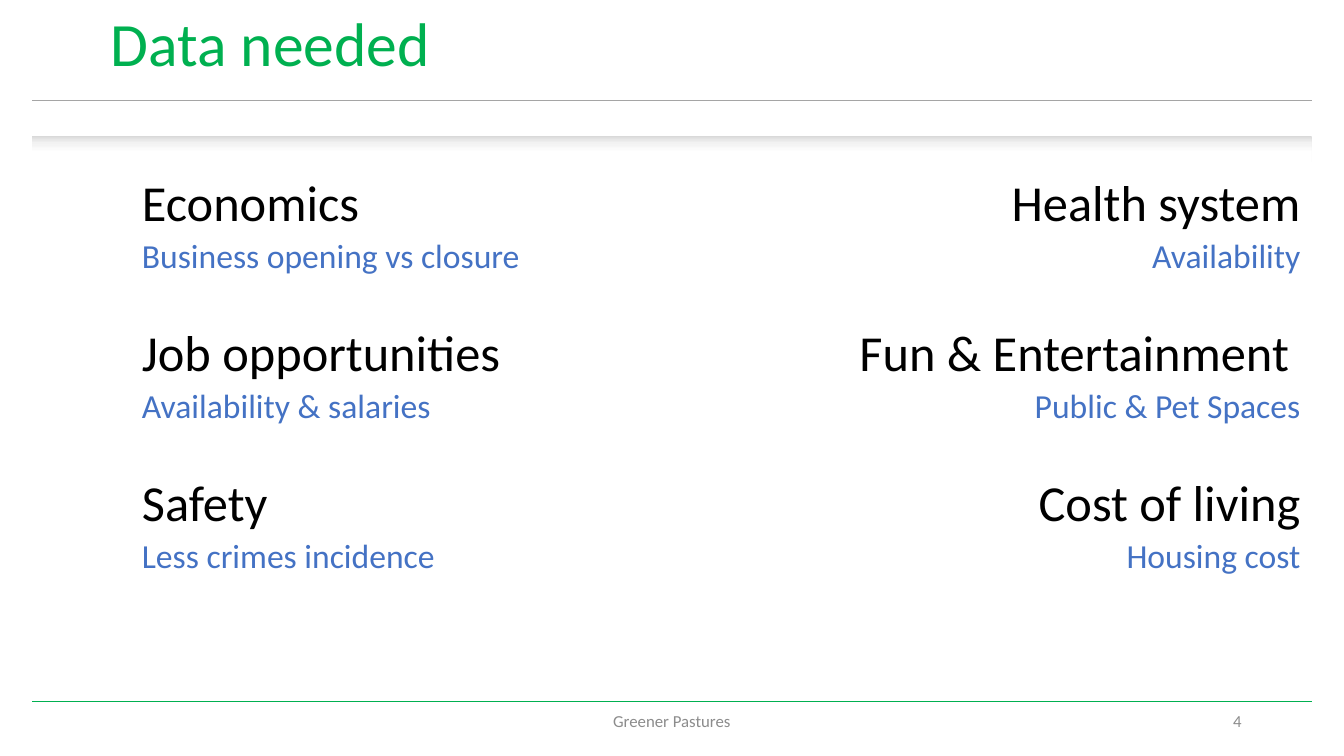
from copy import deepcopy

from lxml import etree
from pptx import Presentation
from pptx import util as u
from pptx.dml.color import RGBColor
from pptx.enum import shapes, text
from pptx.oxml import ns

COLORS = {
    "green": "00B050",
    "black": "000000",
    "blue": "4472C4",
    "footer": "8C8C8C",
    "rule": "A5A5A5",
}
BAND_STOPS = [(0, "D9D9D9"), (0.26, "F2F2F2"), (0.63, "FFFFFF")]
LEFT, CENTER, RIGHT = text.PP_ALIGN.LEFT, text.PP_ALIGN.CENTER, text.PP_ALIGN.RIGHT
TOP, MIDDLE = text.MSO_ANCHOR.TOP, text.MSO_ANCHOR.MIDDLE

COLUMNS = [
    (94.32, 384.84, LEFT, [
        ("Economics", "Business opening vs closure"),
        ("Job opportunities", "Availability & salaries"),
        ("Safety", "Less crimes incidence"),
    ]),
    (551.16, 384.84, RIGHT, [
        ("Health system", "Availability"),
        ("Fun & Entertainment ", "Public & Pet Spaces"),
        ("Cost of living", "Housing cost"),
    ]),
]


def write(paragraph, content, size=12, color="black", align=LEFT, spacing=1, after=0):
    paragraph.alignment = align
    paragraph.line_spacing = spacing
    paragraph.space_after = u.Pt(after)
    run = paragraph.add_run()
    run.text = content
    run.font.name = "Calibri"
    run.font.size = u.Pt(size)
    run.font.color.rgb = RGBColor.from_string(COLORS[color])


class SlideBuilder:
    """Draw styled elements on one slide, with lengths in points."""

    def __init__(self, slide):
        self.slide = slide

    def rule(self, left, right, top, color):
        line = self.slide.shapes.add_connector(
            shapes.MSO_CONNECTOR.STRAIGHT, u.Pt(left), u.Pt(top), u.Pt(right), u.Pt(top))
        line.line.width = u.Pt(0.5)
        line.line.color.rgb = RGBColor.from_string(COLORS[color])
        etree.SubElement(line.element.spPr, ns.qn("a:effectLst"))

    def band(self, left, top, width, height, stops):
        shape = self.slide.shapes.add_shape(
            shapes.MSO_SHAPE.RECTANGLE, u.Pt(left), u.Pt(top), u.Pt(width), u.Pt(height))
        shape.shadow.inherit = False
        shape.line.fill.background()
        shape.fill.gradient()
        shape.fill.gradient_angle = 270
        stop_list = shape.element.spPr.find(".//" + ns.qn("a:gsLst"))
        while len(stop_list) < len(stops):
            stop_list.append(deepcopy(stop_list[-1]))
        for stop, (position, color) in zip(shape.fill.gradient_stops, stops):
            stop.position = position
            stop.color.rgb = RGBColor.from_string(color)

    def text_box(self, left, top, width, height, anchor=TOP):
        frame = self.slide.shapes.add_textbox(
            u.Pt(left), u.Pt(top), u.Pt(width), u.Pt(height)).text_frame
        frame.word_wrap = True
        frame.vertical_anchor = anchor
        return frame

    def label(self, left, top, width, height, content, anchor=TOP, **style):
        frame = self.text_box(left, top, width, height, anchor)
        write(frame.paragraphs[0], content, **style)

    def topics(self, left, top, width, height, align, topics):
        frame = self.text_box(left, top, width, height)
        for index, (heading, detail) in enumerate(topics):
            first = frame.add_paragraph() if index else frame.paragraphs[0]
            write(first, heading, size=36, align=align, spacing=1.07)
            write(frame.add_paragraph(), detail, size=24, color="blue", align=align,
                  spacing=1.07, after=30)


def main():
    presentation = Presentation()
    presentation.slide_width, presentation.slide_height = u.Pt(960), u.Pt(540)
    builder = SlideBuilder(presentation.slides.add_slide(presentation.slide_layouts[6]))

    builder.rule(23, 937, 72, "rule")
    builder.rule(23, 937, 501, "green")
    builder.label(318, 500.5, 324, 28.75, "Greener Pastures", MIDDLE,
                  color="footer", align=CENTER)
    builder.label(678, 500.5, 216, 28.75, "4", MIDDLE, color="footer", align=RIGHT)
    builder.label(72, 0, 888, 60.5, "Data needed", size=44, color="green")
    builder.band(23, 97.2, 914, 18.7, BAND_STOPS)
    for left, width, align, topics in COLUMNS:
        builder.topics(left, 116, width, 342, align, topics)

    presentation.save("out.pptx")


if __name__ == "__main__":
    main()
